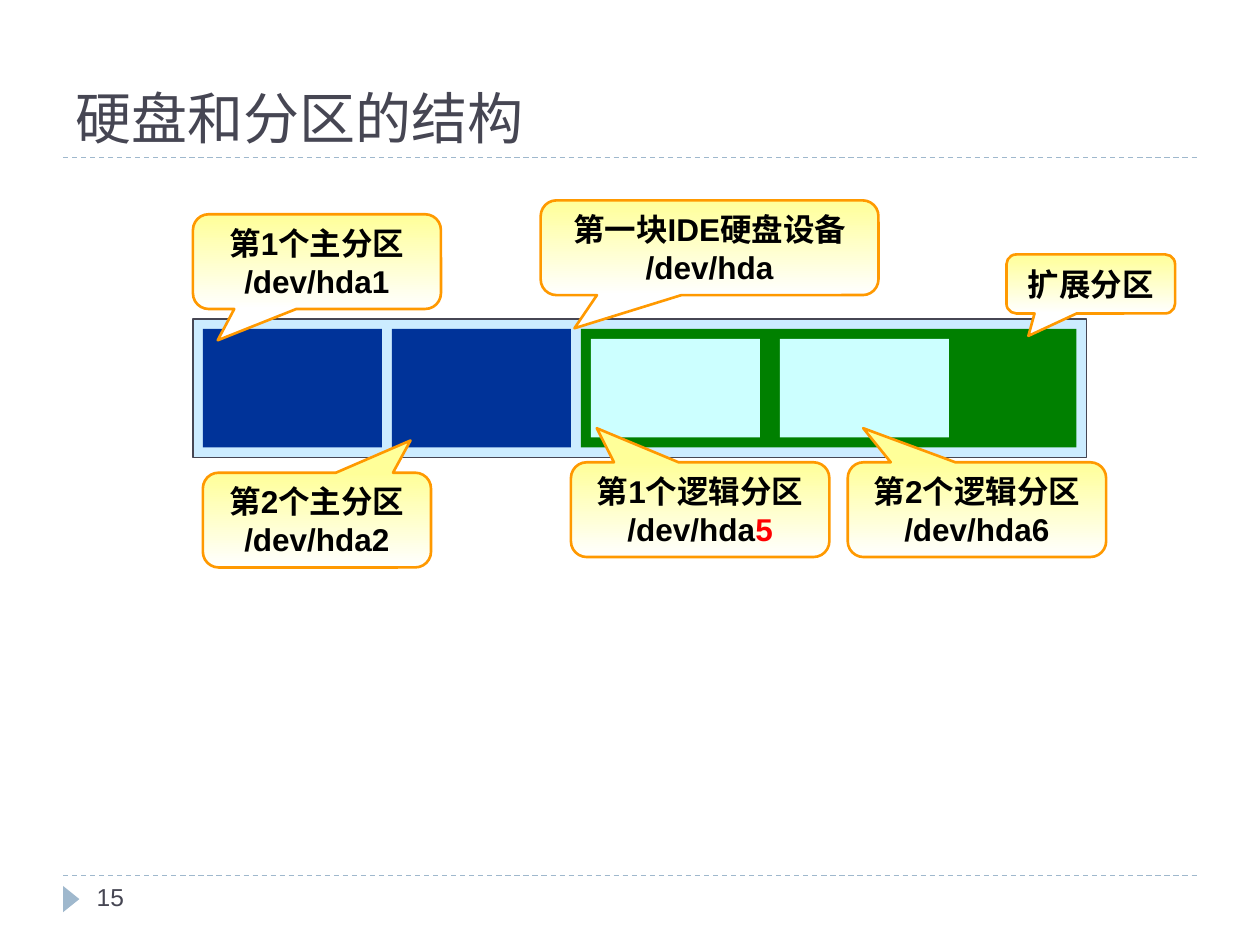
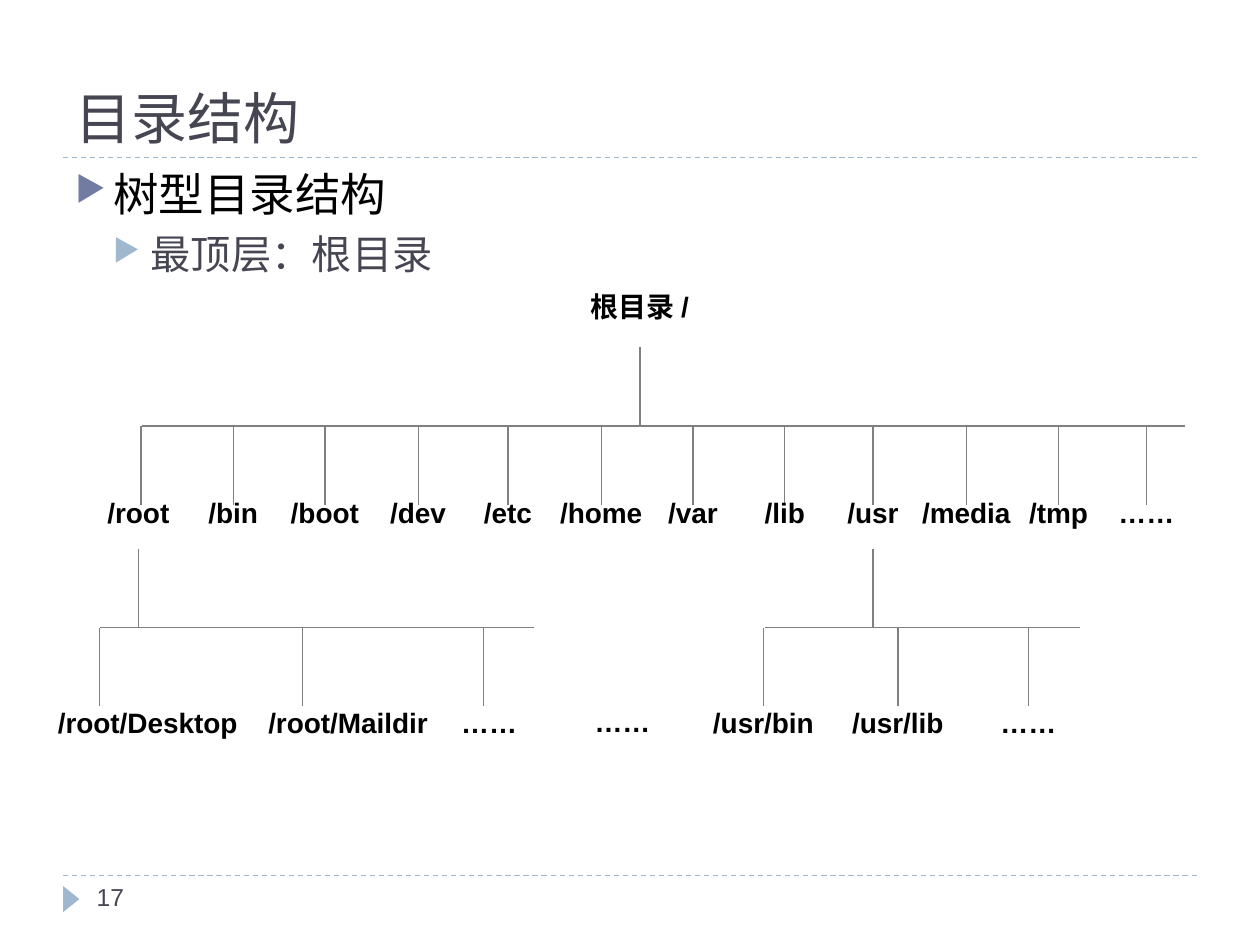
from pptx import Presentation
from pptx import util as u
from pptx.dml.color import RGBColor
from pptx.enum import dml, shapes, text
from pptx.oxml import parse_xml
from pptx.oxml.ns import nsdecls

COLORS = {
    "ink": "464653", "rule": "9FB8CD", "bullet": "727CA3", "black": "000000",
    "tree": "808080", "disk": "CCECFF", "primary": "003399",
    "extended": "008000", "logical": "CCFFFF", "callout_top": "FFFF99",
    "white": "FFFFFF", "callout_line": "FF9900", "red": "FF0000",
}
TITLE_FONT, BODY_FONT, LABEL_FONT = "TeX Gyre Bonum", "Calibri", "Arial"
LEFT, WIDTH = 1.27, 22.86
TITLE_RULE, FOOTER_RULE = 3.18, 17.65

DISK_X, DISK_Y, DISK_W, DISK_H = 3.89, 6.43, 18.01, 2.79
PAD, PITCH = 0.2, 3.81

# Left, top, width, height, tail position, lines
CALLOUTS = [
    (3.89, 4.32, 5, 1.91, (-0.4, 0.83), ["第1个主分区 /dev/hda1"]),
    (4.09, 9.53, 4.6, 1.91, (0.41, -0.84), ["第2个主分区", "/dev/hda2"]),
    (11.51, 9.32, 5.21, 1.91, (-0.4, -0.86),
     ["第1个逻辑分区", [("/dev/hda", "black"), ("5", "red")]]),
    (17.09, 9.32, 5.21, 1.91, (-0.44, -0.86), ["第2个逻辑分区", "/dev/hda6"]),
    (20.29, 5.13, 3.4, 1.19, (-0.37, 0.88), ["扩展分区"]),
    (10.9, 4.04, 6.81, 1.91, (-0.4, 0.85), ["第一块IDE硬盘设备", "/dev/hda"]),
]

# Name, label centre, label width, x of the line above
TOP_DIRS = [("/root", 2.79, 1.75, 2.84)] + [(name, x, w, x) for name, x, w in [
    ("/bin", 4.7, 1.5), ("/boot", 6.55, 1.88),
    ("/dev", 8.43, 1.63), ("/etc", 10.24, 1.47), ("/home", 12.12, 2.16),
    ("/var", 13.97, 1.5), ("/lib", 15.82, 1.32), ("/usr", 17.6, 1.52),
    ("/media", 19.48, 2.29), ("/tmp", 21.34, 1.7), ("……", 23.11, 1.63),
]]
ROOT_DIRS = [("/root/Desktop", 2.98, 4.14, 2.01),
             ("/root/Maildir", 7.02, 3.73, 6.1), ("……", 9.86, 1.63, 9.75)]
USR_DIRS = [("/usr/bin", 15.39, 2.54, 15.39), ("/usr/lib", 18.1, 2.34, 18.1),
            ("……", 20.73, 1.63, 20.73)]
STEM = 1.59
LABEL_SLACK = 0.3


def rgb(name):
    return RGBColor.from_string(COLORS[name])


def box(x, y, w, h):
    return [u.Cm(v) for v in (x, y, w, h)]


def write(p, content, size=18, font=LABEL_FONT, color="black", bold=False,
          align=None):
    """Fill a paragraph with a string or with (text, colour) pairs."""
    runs = [(content, color)] if isinstance(content, str) else content
    p.alignment = align
    for words, run_color in runs:
        r = p.add_run()
        r.text = words
        r.font.size, r.font.name, r.font.bold = u.Pt(size), font, bold
        r.font.color.rgb = rgb(run_color)


def add_text(s, x, y, w, h, content="", anchor=text.MSO_ANCHOR.TOP, wrap=True,
             **fmt):
    tf = s.shapes.add_textbox(*box(x, y, w, h)).text_frame
    tf.word_wrap, tf.vertical_anchor = wrap, anchor
    if content:
        write(tf.paragraphs[0], content, **fmt)
    return tf


def add_line(s, x1, y1, x2, y2, color="tree", dash=None):
    ln = s.shapes.add_connector(shapes.MSO_CONNECTOR.STRAIGHT,
                                *box(x1, y1, x2, y2))
    ln.line.color.rgb, ln.line.width = rgb(color), u.Pt(0.75)
    if dash:
        ln.line.dash_style = dash
    ln._element.spPr.append(parse_xml(f"<a:effectLst {nsdecls('a')}/>"))


def add_shape(s, kind, x, y, w, h, fill, line=None, line_width=0.75):
    sp = s.shapes.add_shape(kind, *box(x, y, w, h))
    sp.shadow.inherit = False
    sp.fill.solid()
    sp.fill.fore_color.rgb = rgb(fill)
    if line:
        sp.line.color.rgb, sp.line.width = rgb(line), u.Pt(line_width)
    else:
        sp.line.fill.background()
    return sp


def add_block(s, x, y, w, h, fill, line=None):
    add_shape(s, shapes.MSO_SHAPE.RECTANGLE, x, y, w, h, fill, line)


def add_callout(s, x, y, w, h, tail, lines):
    sp = add_shape(s, shapes.MSO_SHAPE.ROUNDED_RECTANGULAR_CALLOUT, x, y, w, h,
                   "callout_top", "callout_line", 1.5)
    sp.adjustments[0], sp.adjustments[1] = tail
    sp.fill.gradient()
    sp.fill.gradient_angle = 270
    for stop, color in zip(sp.fill.gradient_stops, ("callout_top", "white")):
        stop.color.rgb = rgb(color)
    tf = sp.text_frame
    tf.word_wrap, tf.vertical_anchor = True, text.MSO_ANCHOR.MIDDLE
    for i, content in enumerate(lines):
        p = tf.add_paragraph() if i else tf.paragraphs[0]
        write(p, content, bold=True, align=text.PP_ALIGN.CENTER)


def add_bullet(p, content, indent, before, bullet_color, **fmt):
    write(p, content, font=BODY_FONT, **fmt)
    p.space_before = u.Pt(before)
    pPr = p._p.get_or_add_pPr()
    pPr.set("marL", str(u.Cm(indent)))
    pPr.set("indent", str(u.Cm(-0.76)))
    for xml in (f'<a:buClr {nsdecls("a")}><a:srgbClr val="{COLORS[bullet_color]}"/></a:buClr>',
                f'<a:buSzPct {nsdecls("a")} val="76000"/>',
                f'<a:buChar {nsdecls("a")} char="▶"/>'):
        pPr.append(parse_xml(xml))


def add_label(s, name, center, y, w):
    """Centre a one-line name, with slack so that it cannot break at a slash."""
    w += LABEL_SLACK
    add_text(s, center - w / 2, y, w, 0.94, name, wrap=False, size=16,
             bold=True, align=text.PP_ALIGN.CENTER)


def add_branch(s, parent_x, y, left, right, dirs, label_drop):
    """Draw the bar at height y, its stem upwards and the children below."""
    add_line(s, parent_x, y - STEM, parent_x, y)
    add_line(s, left, y, right, y)
    for name, center, w, x in dirs:
        add_line(s, x, y, x, y + STEM)
        add_label(s, name, center, y + label_drop, w)


def new_slide(prs, title, number):
    s = prs.slides.add_slide(prs.slide_layouts[6])
    for y in (FOOTER_RULE, TITLE_RULE):
        add_line(s, LEFT, y, LEFT + WIDTH, y, "rule", dml.MSO_LINE.DASH)
    marker = add_shape(s, shapes.MSO_SHAPE.ISOSCELES_TRIANGLE,
                       1.17, 17.96, 0.53, 0.33, "rule")
    marker.rotation = 90
    add_text(s, LEFT, 0.43, WIDTH, 2.74, title, anchor=text.MSO_ANCHOR.BOTTOM,
             size=32, font=TITLE_FONT, color="ink")
    add_text(s, 1.7, FOOTER_RULE, 5.51, 1.02, number, size=14, color="ink")
    return s


def disk_slide(prs):
    s = new_slide(prs, "硬盘和分区的结构", "15")
    add_block(s, DISK_X, DISK_Y, DISK_W, DISK_H, "disk", "ink")
    x, y, h = DISK_X + PAD, DISK_Y + PAD, DISK_H - 2 * PAD
    for i in range(2):
        add_block(s, x + i * PITCH, y, PITCH - PAD, h, "primary")
    x += 2 * PITCH
    add_block(s, x, y, DISK_X + DISK_W - PAD - x, h, "extended")
    for i in range(2):
        add_block(s, x + PAD + i * PITCH, y + PAD, PITCH - 2 * PAD,
                  h - 2 * PAD, "logical")
    for callout in CALLOUTS:
        add_callout(s, *callout)


def tree_slide(prs):
    s = new_slide(prs, "目录结构", "17")
    tf = add_text(s, LEFT, 3.23, WIDTH, 3.5)
    add_bullet(tf.paragraphs[0], "树型目录结构", 0.76, 6, "bullet", size=26)
    p = tf.add_paragraph()
    p.level = 1
    add_bullet(p, "最顶层：根目录", 1.52, 5, "rule", size=23, color="ink")
    add_label(s, "根目录 /", 12.9, 5.72, 2.62)
    add_branch(s, 12.9, 8.59, 2.87, 23.88, TOP_DIRS, 1.27)
    add_branch(s, 2.79, 12.65, 2.01, 10.77, ROOT_DIRS, 1.45)
    add_branch(s, 17.6, 12.65, 15.42, 21.77, USR_DIRS, 1.45)
    add_label(s, "……", 12.55, 14.08, 1.63)


def main():
    prs = Presentation()
    prs.slide_width, prs.slide_height = u.Cm(25.4), u.Cm(19.05)
    disk_slide(prs)
    tree_slide(prs)
    prs.save("out.pptx")


if __name__ == "__main__":
    main()
